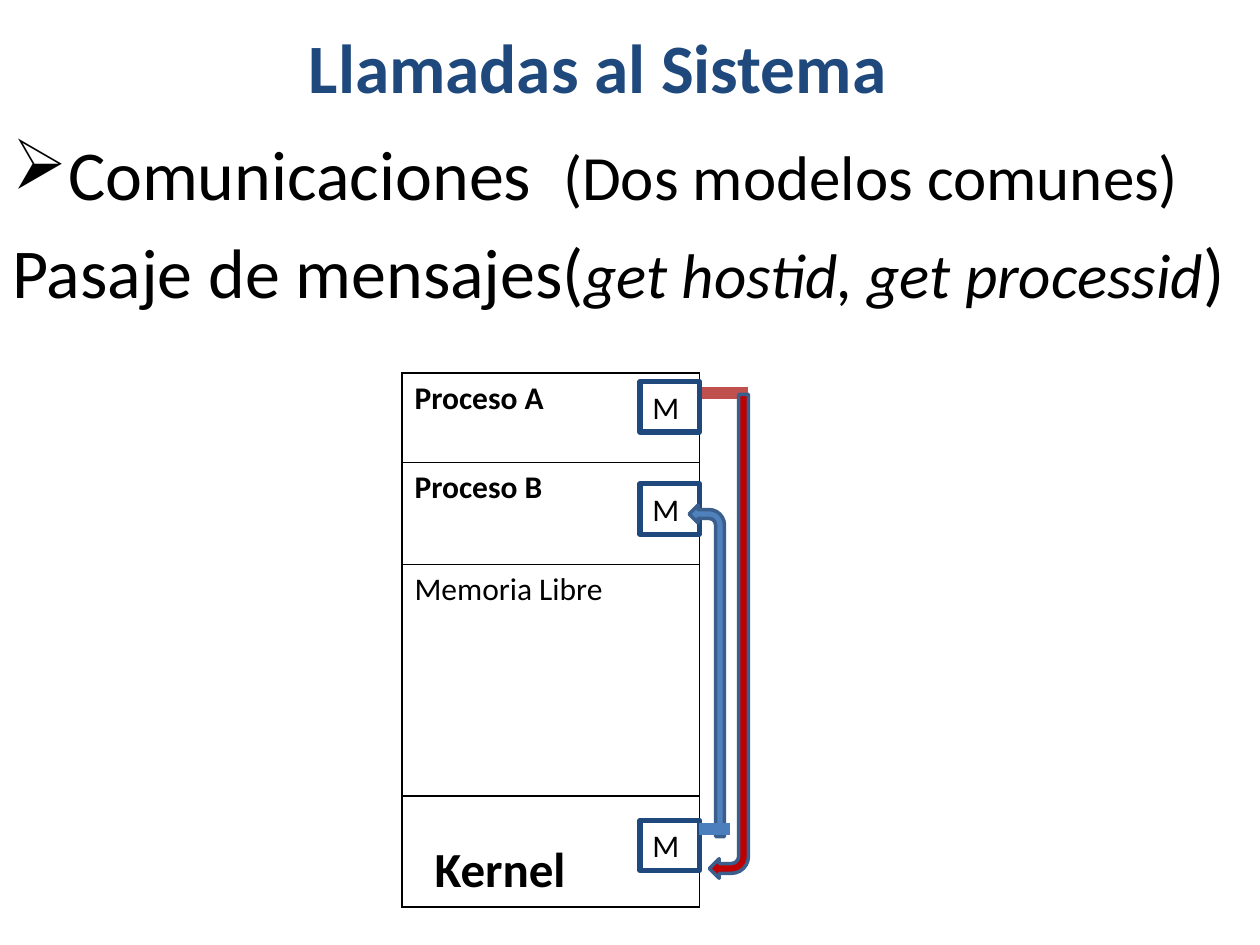
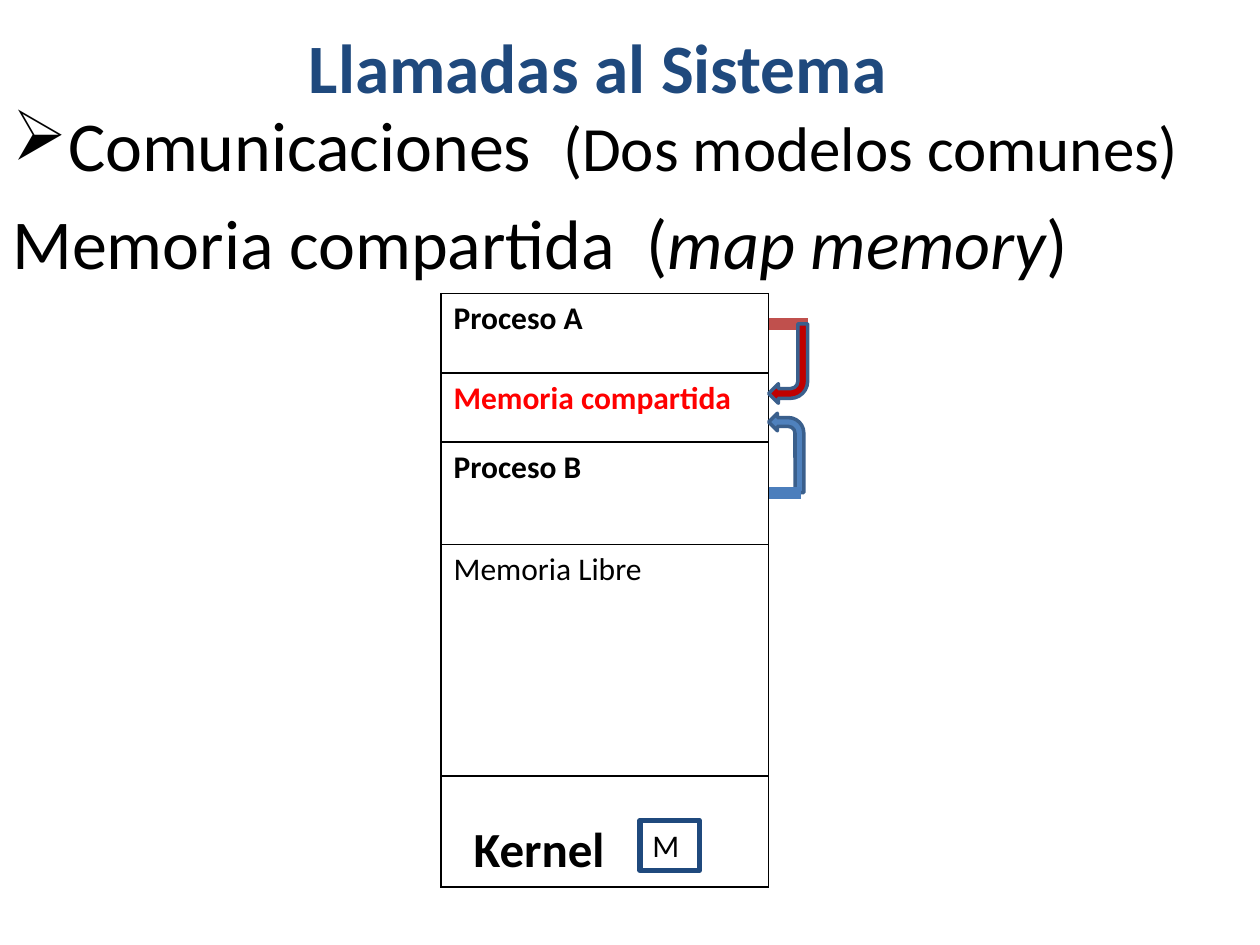
from dataclasses import dataclass

from lxml import etree
from pptx import Presentation
from pptx.dml.color import RGBColor
from pptx.enum.shapes import MSO_CONNECTOR, MSO_SHAPE
from pptx.enum.text import MSO_ANCHOR as Anchor, PP_ALIGN as Align
from pptx.oxml import parse_xml
from pptx.oxml.ns import nsdecls, qn
from pptx.util import Inches, Pt

FONT = "Calibri"
COLORS = {
    "title": "1F497D",
    "text": "000000",
    "shared": "FF0000",
    "send": "C00000",
    "send_stub": "C0504D",
    "receive": "4F81BD",
    "receive_stub": "4B7EBC",
    "arrow_edge": "3A5F8C",
}


@dataclass
class Span:
    text: str
    size: float = 40
    italic: bool = False
    bold: bool = False
    color: str = "text"


@dataclass
class MemoryBlock:
    label: Span
    height: float


@dataclass
class Arrow:
    """A bent arrow pointing left, with the stub that joins it to the table."""
    left: float
    top: float
    width: float
    height: float
    stub_left: float
    stub_right: float
    stub_y: float


@dataclass
class Model:
    """One communication model: its heading, memory map and message arrows."""
    body_top: float
    heading: list[Span]
    table_left: float
    table_top: float
    table_width: float
    blocks: list[MemoryBlock]
    message_tops: list[float]
    send: Arrow
    receive: Arrow


def rgb(name: str) -> RGBColor:
    return RGBColor.from_string(COLORS[name])


def write(para, spans: list[Span]) -> None:
    for span in spans:
        run = para.add_run()
        run.text = span.text
        font = run.font
        font.name, font.size = FONT, Pt(span.size)
        font.bold, font.italic = span.bold, span.italic
        font.color.rgb = rgb(span.color)


def add_text_frame(page, top: float, width: float, height: float):
    box = page.shapes.add_textbox(0, Inches(top), Inches(width), Inches(height))
    box.text_frame.word_wrap = True
    return box.text_frame


def add_title(page) -> None:
    frame = add_text_frame(page, 0.13, 9.49, 0.79)
    frame.vertical_anchor = Anchor.MIDDLE
    para = frame.paragraphs[0]
    para.alignment = Align.CENTER
    write(para, [Span("Llamadas al Sistema", 39.6, bold=True, color="title")])


def add_body(page, model: Model) -> None:
    frame = add_text_frame(page, model.body_top, 9.88, 7.29 - model.body_top)
    topic, heading = frame.paragraphs[0], frame.add_paragraph()
    topic.space_before = heading.space_before = Pt(8)
    write(topic, [Span("Comunicaciones  "), Span("(Dos modelos comunes)", 36)])
    write(heading, model.heading)
    properties = topic._p.get_or_add_pPr()
    properties.set("marL", str(Inches(0.38)))
    properties.set("indent", str(-Inches(0.38)))
    etree.SubElement(properties, qn("a:buChar")).set("char", "➢")


def add_borders(cell) -> None:
    properties = cell._tc.get_or_add_tcPr()
    for index, side in enumerate("LRTB"):
        properties.insert(index, parse_xml(
            f'<a:ln{side} {nsdecls("a")} w="{Pt(1)}"><a:solidFill>'
            f'<a:srgbClr val="{COLORS["text"]}"/></a:solidFill></a:ln{side}>'))


def add_memory_map(page, model: Model) -> None:
    height = sum(block.height for block in model.blocks)
    table = page.shapes.add_table(
        len(model.blocks), 1, Inches(model.table_left), Inches(model.table_top),
        Inches(model.table_width), Inches(height)).table
    table.first_row = table.horz_banding = False
    for row, block in zip(table.rows, model.blocks):
        row.height = Inches(block.height)
        cell = row.cells[0]
        cell.fill.background()
        add_borders(cell)
        write(cell.text_frame.paragraphs[0], [block.label])
    kernel = table.cell(len(model.blocks) - 1, 0)
    kernel.vertical_anchor = Anchor.BOTTOM
    kernel.margin_left = Inches(0.26)


def add_message(page, top: float) -> None:
    box = page.shapes.add_shape(MSO_SHAPE.RECTANGLE, Inches(5.08), Inches(top),
                                Inches(0.47), Inches(0.4))
    box.shadow.inherit = False
    box.fill.background()
    box.line.color.rgb = rgb("title")
    box.line.width = Pt(3)
    box.text_frame.vertical_anchor = Anchor.TOP
    para = box.text_frame.paragraphs[0]
    para.alignment = Align.LEFT
    write(para, [Span("M", 18)])


def add_bent_arrow(page, arrow: Arrow, color: str):
    shape = page.shapes.add_shape(
        MSO_SHAPE.BENT_ARROW, Inches(arrow.left), Inches(arrow.top),
        Inches(arrow.width), Inches(arrow.height))
    shape.shadow.inherit = False
    shape.fill.solid()
    shape.fill.fore_color.rgb = rgb(color)
    shape.line.color.rgb = rgb("arrow_edge")
    shape.line.width = Pt(2)
    return shape


def add_stub(page, arrow: Arrow, color: str) -> None:
    y = Inches(arrow.stub_y)
    stub = page.shapes.add_connector(
        MSO_CONNECTOR.STRAIGHT, Inches(arrow.stub_left), y, Inches(arrow.stub_right), y)
    stub.line.color.rgb = rgb(color)
    stub.line.width = Pt(7)
    etree.SubElement(stub._element.spPr, qn("a:effectLst"))


def add_model_page(deck, model: Model) -> None:
    page = deck.slides.add_slide(deck.slide_layouts[6])
    add_title(page)
    add_body(page, model)
    add_memory_map(page, model)
    for top in model.message_tops:
        add_message(page, top)
    upward = add_bent_arrow(page, model.receive, "receive")
    upward._element.spPr.get_or_add_xfrm().set("flipH", "1")
    add_stub(page, model.send, "send_stub")
    add_stub(page, model.receive, "receive_stub")
    add_bent_arrow(page, model.send, "send").rotation = 180


def process(name: str, height: float) -> MemoryBlock:
    return MemoryBlock(Span(f"Proceso {name}", 18, bold=True), height)


FREE_AND_KERNEL = [
    MemoryBlock(Span("Memoria Libre", 18), 1.84),
    MemoryBlock(Span("Kernel", 28, bold=True), 0.88),
]
MODELS = [
    Model(
        body_top=0.99,
        heading=[Span("Pasaje de mensajes("),
                 Span("get hostid, get processid", 36, italic=True), Span(")")],
        table_left=3.19, table_top=2.96, table_width=2.36,
        blocks=[process("A", 0.71), process("B", 0.81), *FREE_AND_KERNEL],
        message_tops=[3.03, 3.84, 6.51],
        send=Arrow(5.63, 3.13, 0.31, 3.84, 5.57, 5.94, 3.12),
        receive=Arrow(5.47, 4.01, 0.28, 2.63, 5.55, 5.79, 6.58),
    ),
    Model(
        body_top=0.76,
        heading=[Span("Memoria compartida  ("),
                 Span("map memory", italic=True), Span(")")],
        table_left=3.5, table_top=2.33, table_width=2.6,
        blocks=[
            process("A", 0.63),
            MemoryBlock(Span("Memoria compartida", 18, bold=True, color="shared"), 0.55),
            process("B", 0.81), *FREE_AND_KERNEL],
        message_tops=[6.51],
        send=Arrow(6.1, 2.57, 0.31, 0.63, 6.1, 6.41, 2.57),
        receive=Arrow(6.1, 3.28, 0.28, 0.63, 6.1, 6.36, 3.91),
    ),
]


def main() -> None:
    deck = Presentation()
    deck.slide_width, deck.slide_height = Inches(10), Inches(7.5)
    for model in MODELS:
        add_model_page(deck, model)
    deck.save("out.pptx")


if __name__ == "__main__":
    main()
